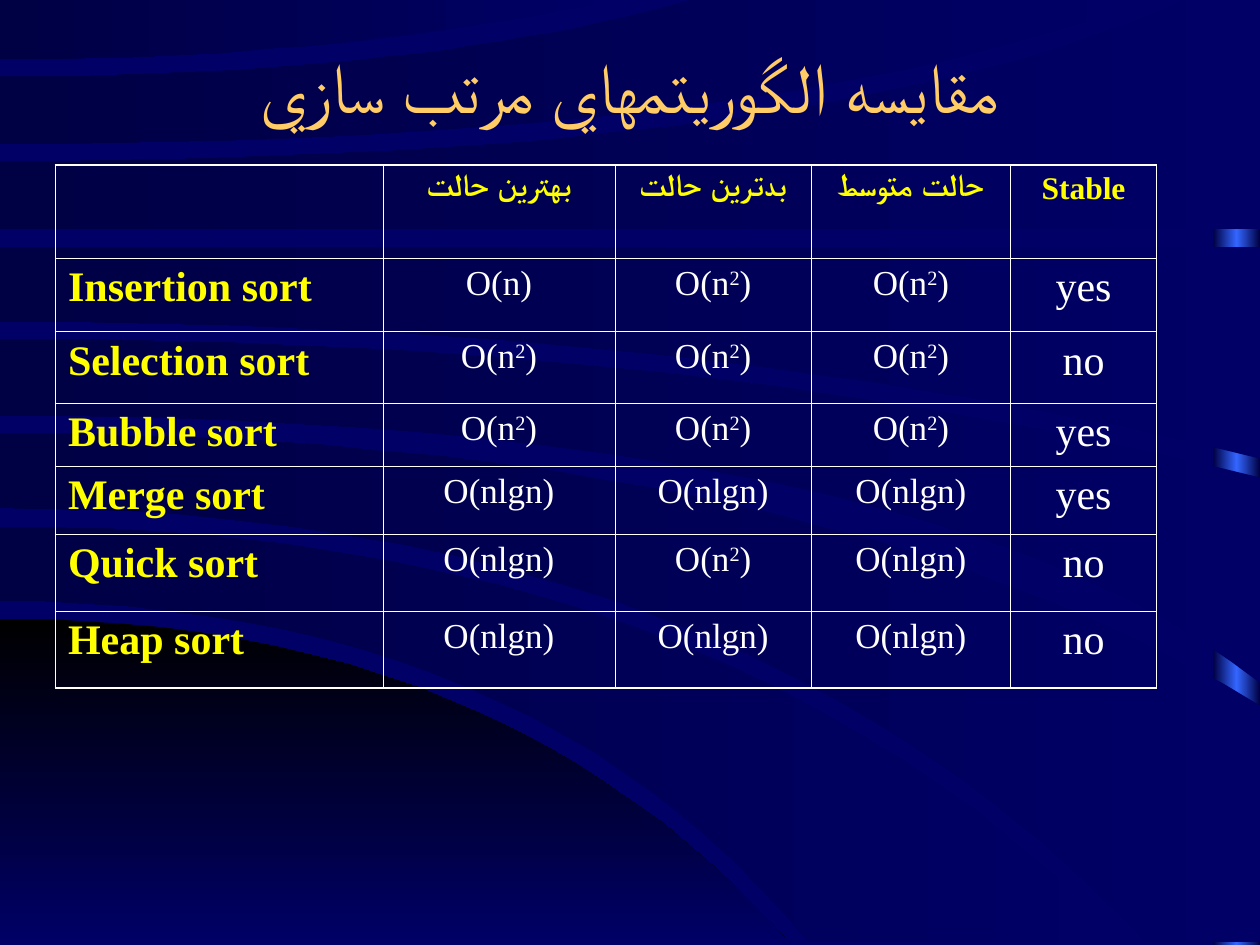
"""Build the slide that compares sorting algorithms in a table over curved bands."""
from copy import deepcopy

from lxml import etree
from pptx import Presentation
from pptx.dml.color import RGBColor
from pptx.enum.shapes import MSO_SHAPE
from pptx.enum.text import MSO_ANCHOR, MSO_AUTO_SIZE, PP_ALIGN
from pptx.oxml.ns import qn
from pptx.util import Inches, Pt

RECT = MSO_SHAPE.RECTANGLE
MIDDLE, FIXED = MSO_ANCHOR.MIDDLE, MSO_AUTO_SIZE.NONE
LEFT, CENTER = PP_ALIGN.LEFT, PP_ALIGN.CENTER
UNIT = Inches(0.01)
WIDE, HIGH = 1000, 750
STEPS = 24


class Theme:
    font = "Times New Roman"
    navy, dark, black, blue = "000066", "000044", "000000", "3366FF"
    gold, yellow, white = "FFCC66", "FFFF00", "FFFFFF"
    title, head, name, cost = 40, 18, 24, 20
    thin, thick = 0.45, 1.08


def paint(shape, tones, angle):
    """Fill a shape with evenly spaced gradient tones and no outline."""
    shape.shadow.inherit = False
    shape.line.fill.background()
    shape.fill.gradient()
    shape.fill.gradient_angle = angle
    stops = shape._element.spPr.find(qn("a:gradFill")).find(qn("a:gsLst"))
    for _ in tones[2:]:
        stops.append(deepcopy(stops[0]))
    for i, (stop, tone) in enumerate(zip(shape.fill.gradient_stops, tones)):
        stop.position = i / (len(tones) - 1)
        stop.color.rgb = RGBColor.from_string(tone)


def write(frame, runs, size, color, bold, align, before):
    """Write runs into a frame's first paragraph, the second run raised."""
    para = frame.paragraphs[0]
    para.alignment, para.space_before = align, Pt(before)
    for i, text in enumerate(runs):
        run = para.add_run()
        run.text = text
        run.font.name, run.font.size, run.font.bold = Theme.font, Pt(size), bold
        run.font.color.rgb = RGBColor.from_string(color)
        if i == 1:
            run.font._element.set("baseline", "30000")


deck = Presentation()
deck.slide_width, deck.slide_height = WIDE * UNIT, HIGH * UNIT
slide = deck.slides.add_slide(deck.slide_layouts[5])
slide.background.fill.solid()
slide.background.fill.fore_color.rgb = RGBColor.from_string(Theme.navy)
shapes = slide.shapes

strip = shapes.add_shape(RECT, 963 * UNIT, 0, 37 * UNIT, HIGH * UNIT)
paint(strip, (Theme.dark, Theme.blue, Theme.dark), 180)

HILL = ((Theme.black, Theme.navy), 270)
BAND = ((Theme.navy, Theme.dark), 180)
ARCS = [
    (HILL, (491, 400, 628, 750), (750, 314, 628, 750)),
    (BAND, (418, 574, 893, 748), (477, 419, 642, 748)),
    (BAND, (344, 640, 1000, 560), (403, 588, 909, 748)),
    (BAND, (269, 556, 1000, 379), (330, 730, 1000, 542)),
    (BAND, (196, 500, 1000, 196), (255, 560, 1000, 364)),
    (BAND, (128, 666, 943, -2), (182, 500, 1000, 182)),
    (BAND, (61, 338, 556, -2), (114, 616, 917, -2)),
    (BAND, (-2, 250, 501, -2), (47, 270, 501, -2)),
]
for (tones, angle), upper, lower in ARCS:
    edges = []
    for start, bend, right, end in (upper, lower):
        edge = []
        for step in range(STEPS + 1):
            t = step / STEPS
            x = 2 * t * (1 - t) * bend + t * t * right
            edge.append((x, start + t * t * (end - start)))
        edges.append(edge)
    right = max(upper[2], lower[2])
    ends = sorted((upper[3], lower[3]))
    dots = edges[0] + [(right, y) for y in ends] + edges[1][::-1]
    pen = shapes.build_freeform(*dots[0], scale=UNIT)
    pen.add_line_segments(dots[1:], close=True)
    paint(pen.convert_to_shape(), tones, angle)

title = shapes.title
shapes._spTree.append(title._element)
title.left, title.top = 75 * UNIT, 28 * UNIT
title.width, title.height = 850 * UNIT, 79 * UNIT
frame = title.text_frame
frame.word_wrap, frame.auto_size, frame.vertical_anchor = True, FIXED, MIDDLE
write(frame, ["مقايسه الگوريتمهاي مرتب سازي"], Theme.title, Theme.gold, False, CENTER, 0)

N, SQUARE, LOG = ["O(n)"], ["O(n", "2", ")"], ["O(nlgn)"]
ROWS = [
    [[], ["بهترين حالت"], ["بدترين حالت"], ["حالت متوسط"], ["Stable"]],
    [["Insertion sort"], N, SQUARE, SQUARE, ["yes"]],
    [["Selection sort"], SQUARE, SQUARE, SQUARE, ["no"]],
    [["Bubble sort"], SQUARE, SQUARE, SQUARE, ["yes"]],
    [["Merge sort"], LOG, LOG, LOG, ["yes"]],
    [["Quick sort"], LOG, SQUARE, LOG, ["no"]],
    [["Heap sort"], LOG, LOG, LOG, ["no"]],
]
COLS = [260, 184, 156, 158, 116]
TALLS = [74, 58, 57, 50, 54, 61, 61]
table = shapes.add_table(len(TALLS), len(COLS), 44 * UNIT, 131 * UNIT,
                         sum(COLS) * UNIT, sum(TALLS) * UNIT).table
table.first_row = table.horz_banding = False
for col, wide in zip(table.columns, COLS):
    col.width = wide * UNIT
for row, tall in zip(table.rows, TALLS):
    row.height = tall * UNIT

last, final = len(TALLS) - 1, len(COLS) - 1
for r, line in enumerate(ROWS):
    for c, runs in enumerate(line):
        cell = table.cell(r, c)
        props = cell._tc.get_or_add_tcPr()
        rims = {"L": c == 0, "R": c == final, "T": r == 0, "B": r == last}
        for side, rim in rims.items():
            width = Pt(Theme.thick if rim else Theme.thin)
            edge = etree.SubElement(props, qn("a:ln" + side), w=str(width))
            fill = etree.SubElement(edge, qn("a:solidFill"))
            etree.SubElement(fill, qn("a:srgbClr"), val=Theme.white)
        cell.fill.background()
        if r == 0:
            size = Theme.head
        else:
            size = Theme.name if c in (0, final) else Theme.cost
        label = r == 0 or c == 0
        write(cell.text_frame, runs, size, Theme.yellow if label else Theme.white,
              label, LEFT if c == 0 else CENTER, size / 4)

deck.save("out.pptx")
